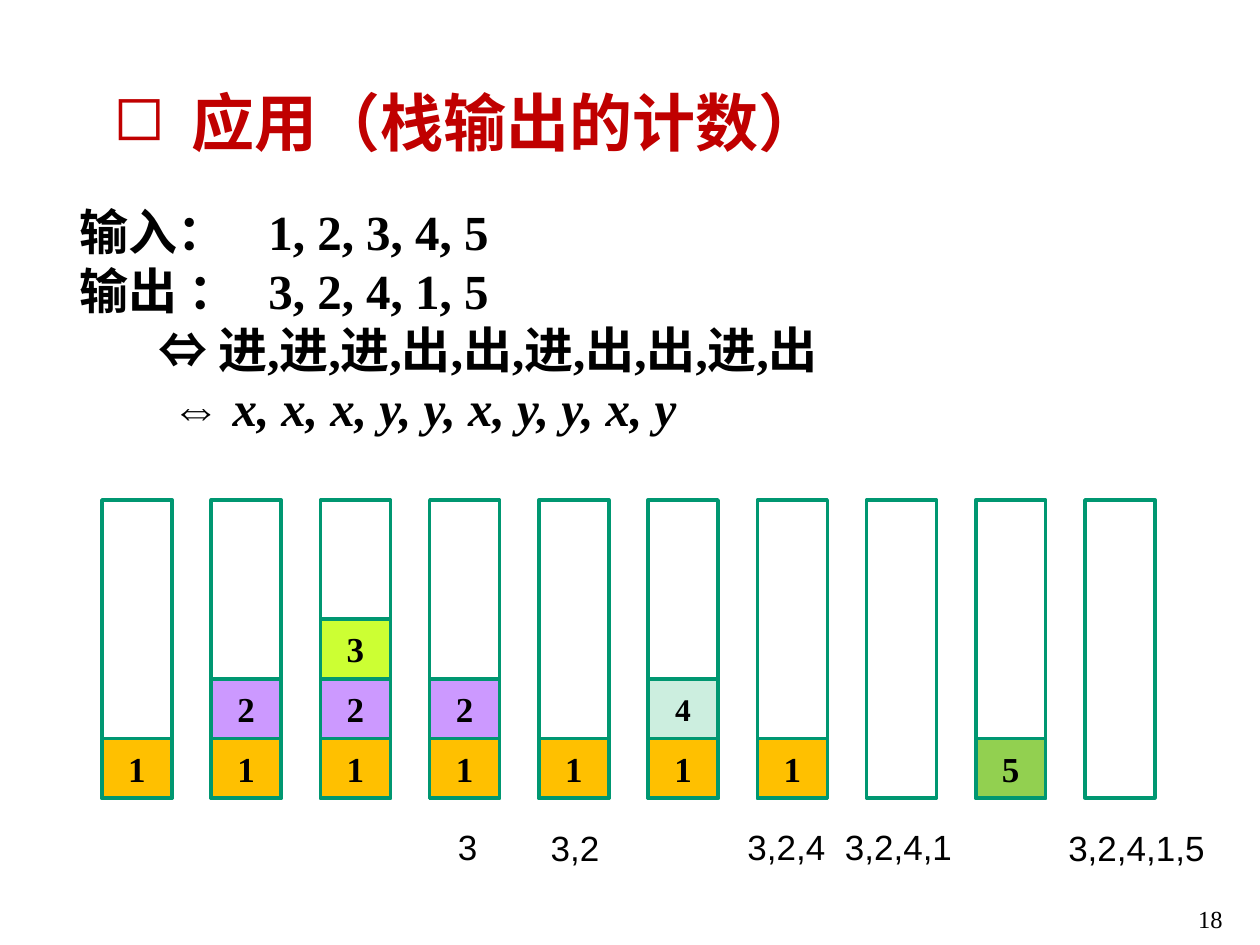
import pptx
import pptx.dml.color
import pptx.enum.shapes
import pptx.enum.text
import pptx.oxml.ns
import pptx.util
from lxml import etree

RGB = pptx.dml.color.RGBColor
ALIGN = pptx.enum.text.PP_ALIGN
ANCHOR = pptx.enum.text.MSO_ANCHOR

BLACK = RGB(0, 0, 0)
RED = RGB(0xC0, 0, 0)
GREEN = RGB(0, 0x97, 0x71)
ITEM_FILLS = {
    1: RGB(0xFF, 0xC0, 0x00),
    2: RGB(0xCC, 0x99, 0xFF),
    3: RGB(0xCC, 0xFF, 0x33),
    4: RGB(0xCC, 0xEE, 0xDF),
    5: RGB(0x92, 0xD0, 0x50),
}
SERIF, SANS = "Times New Roman", "Arial"

TITLE = "应用（栈输出的计数）"
# (left indent in px, [(text, italic), ...])
EXAMPLE = [
    (67, [("输入：\t1, 2, 3, 4, 5", False)]),
    (67, [("输出 ：\t3, 2, 4, 1, 5", False)]),
    (146, [("⇔ 进,进,进,出,出,进,出,出,进,出", False)]),
    (159, [("⇔ ", False), ("x, x, x, y, y, x, y, y, x, y", True)]),
]
VALUES_TAB = 234
# Stack contents after each step, bottom item first
STACKS = [[1], [1, 2], [1, 2, 3], [1, 2], [1], [1, 4], [1], [], [5], []]
# (output so far, left, top, width, wraps)
OUTPUTS = [
    ("3", 445, 819, 45, False),
    ("3,2", 538, 820, 74, False),
    ("3,2,4", 735, 819, 103, False),
    ("3,2,4,1", 832, 819, 133, False),
    ("3,2,4,1,5", 1046, 820, 181, True),
]
STACK_LEFT, STACK_TOP, STACK_WIDTH, STACK_HEIGHT = 102, 500, 70, 298
STACK_SPAN = 983  # from the first stack's left edge to the last one's
STACK_CAPACITY = 5


def px(length):
    return pptx.util.Emu(round(length * 914400 / 126))


def style(run, size, color=BLACK, font=SERIF, bold=False, italic=False):
    run.font.size = pptx.util.Pt(size)
    run.font.color.rgb = color
    run.font.name = font
    run.font.bold = bold
    run.font.italic = italic


def add_text(slide, box, text="", align=ALIGN.LEFT, anchor=ANCHOR.TOP, wrap=True, **look):
    frame = slide.shapes.add_textbox(*map(px, box)).text_frame
    frame.word_wrap = wrap
    frame.vertical_anchor = anchor
    if text:
        frame.text = text
        frame.paragraphs[0].alignment = align
        style(frame.paragraphs[0].runs[0], **look)
    return frame


def set_indent(paragraph, left, first=0):
    properties = paragraph._p.get_or_add_pPr()
    properties.set("marL", str(px(left)))
    properties.set("indent", str(px(first)))
    return properties


def add_child(parent, tag, **attributes):
    return etree.SubElement(parent, pptx.oxml.ns.qn(tag), **attributes)


def add_title(slide):
    frame = add_text(slide, (101, 78, 1134, 87), TITLE, anchor=ANCHOR.MIDDLE,
                     size=36, color=RED, bold=True)
    properties = set_indent(frame.paragraphs[0], 78, -78)
    add_child(properties, "a:buChar", char="◻")


def add_example(slide):
    frame = add_text(slide, (0, 195, 1150, 248), anchor=ANCHOR.MIDDLE)
    for number, (indent, pieces) in enumerate(EXAMPLE):
        paragraph = frame.add_paragraph() if number else frame.paragraphs[0]
        properties = set_indent(paragraph, indent)
        if "\t" in pieces[0][0]:
            tabs = add_child(properties, "a:tabLst")
            add_child(tabs, "a:tab", pos=str(px(VALUES_TAB)), algn="l")
        for text, italic in pieces:
            run = paragraph.add_run()
            run.text = text
            style(run, 28, bold=True, italic=italic)


def add_box(slide, left, top, width, height):
    box = slide.shapes.add_shape(pptx.enum.shapes.MSO_SHAPE.RECTANGLE,
                                 *map(px, (left, top, width, height)))
    box.shadow.inherit = False
    box.fill.background()
    box.line.color.rgb = GREEN
    box.line.width = pptx.util.Pt(2)
    return box


def add_stack(slide, left, items):
    add_box(slide, left, STACK_TOP, STACK_WIDTH, STACK_HEIGHT)
    item_height = STACK_HEIGHT / STACK_CAPACITY
    for level, item in enumerate(items, 1):
        top = STACK_TOP + STACK_HEIGHT - level * item_height
        box = add_box(slide, left, top, STACK_WIDTH, item_height)
        box.fill.solid()
        box.fill.fore_color.rgb = ITEM_FILLS[item]
        frame = box.text_frame
        frame.text = str(item)
        frame.vertical_anchor = ANCHOR.MIDDLE
        frame.paragraphs[0].alignment = ALIGN.CENTER
        style(frame.paragraphs[0].runs[0], 18 if item == 4 else 20, bold=True)


def main():
    deck = pptx.Presentation()
    deck.slide_width, deck.slide_height = px(1260), px(945)
    slide = deck.slides.add_slide(deck.slide_layouts[6])

    add_text(slide, (941, 898, 294, 50), "18", align=ALIGN.RIGHT, size=14)
    add_title(slide)
    add_example(slide)
    pitch = STACK_SPAN / (len(STACKS) - 1)
    for step, items in enumerate(STACKS):
        add_stack(slide, STACK_LEFT + step * pitch, items)
    for text, left, top, width, wrap in OUTPUTS:
        add_text(slide, (left, top, width, 55), text, align=ALIGN.CENTER,
                 wrap=wrap, size=20, font=SANS)

    deck.save("out.pptx")


if __name__ == "__main__":
    main()
